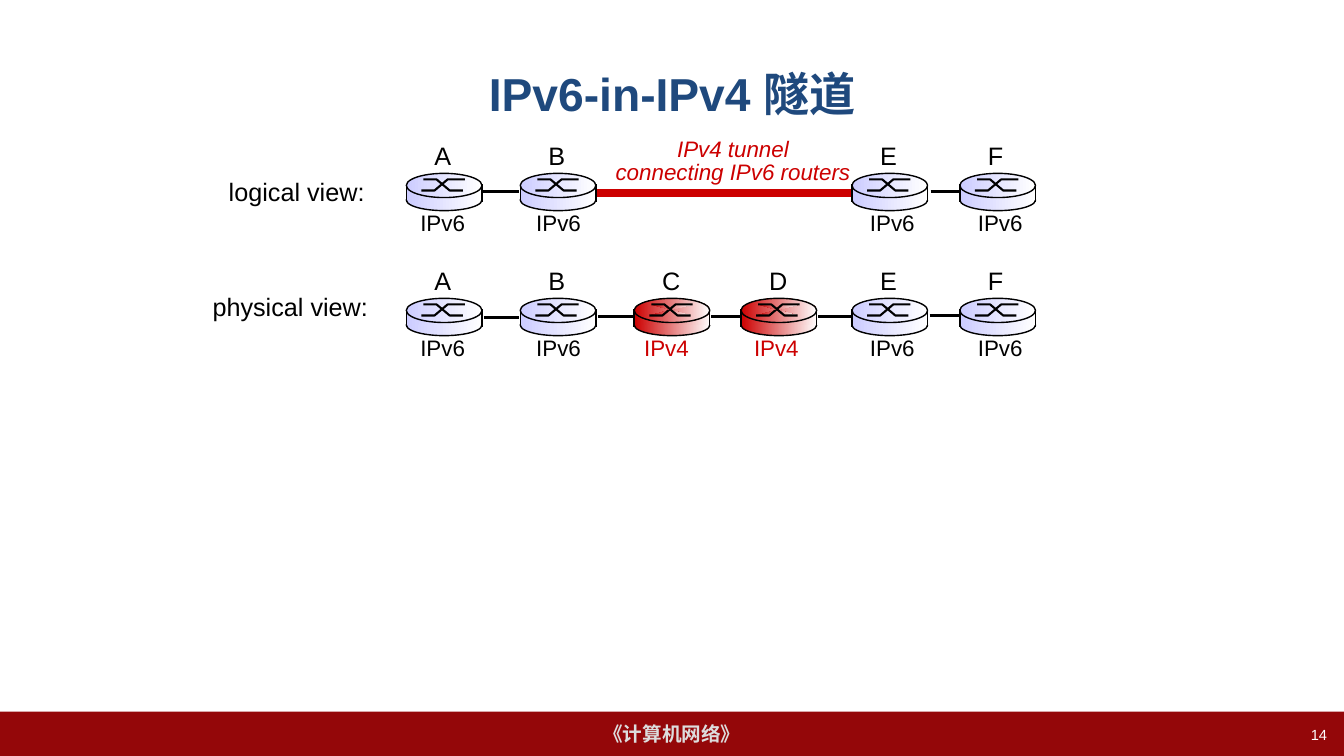
from lxml.etree import SubElement
from pptx import Presentation
from pptx.dml.color import RGBColor
from pptx.enum.shapes import MSO_CONNECTOR, MSO_SHAPE as Shape
from pptx.enum.text import MSO_ANCHOR as Anchor, PP_ALIGN as Align
from pptx.oxml.ns import qn
from pptx.util import Inches, Pt

BLACK, RED, LILAC, WHITE = "000000", "CC0000", "CCCCFF", "FFFFFF"


def color(hex_code):
    return RGBColor.from_string(hex_code)


def write(shape, text, size, hex_code, align=Align.LEFT, bold=False, italic=False):
    frame = shape.text_frame
    frame.text = text
    for para in frame.paragraphs:
        para.alignment = align
        for span in para.runs:
            span.font.name = "Arial"
            span.font.size = Pt(size)
            span.font.bold = bold
            span.font.italic = italic
            span.font.color.rgb = color(hex_code)
    return frame


deck = Presentation()
deck.slide_width, deck.slide_height = Inches(13.33), Inches(7.5)
page = deck.slides.add_slide(deck.slide_layouts[5])
shapes = page.shapes

# Footer bar and title
bar = shapes.add_shape(Shape.RECTANGLE, 0, Inches(7.06), Inches(13.33), Inches(0.44))
bar.shadow.inherit = False
bar.fill.solid()
bar.fill.fore_color.rgb = color("940709")
bar.line.fill.background()
write(bar, "《计算机网络》", 14, "DDDDDD", Align.CENTER, bold=True).vertical_anchor = Anchor.MIDDLE

title = shapes.title
title.left, title.top = Inches(0.67), Inches(0.3)
title.width, title.height = Inches(12), Inches(1.25)
write(title, "IPv6-in-IPv4 隧道", 33, "1F497D", Align.CENTER, bold=True).vertical_anchor = Anchor.MIDDLE

number = shapes.add_textbox(Inches(10.15), Inches(7.15), Inches(3.11), Inches(0.35))
write(number, "14", 10.5, WHITE, Align.RIGHT).word_wrap = True

# Tunnel and links, behind the routers
tunnel = shapes.add_shape(Shape.RECTANGLE, Inches(5.88), Inches(1.88), Inches(2.63), Inches(0.07))
tunnel.shadow.inherit = False
tunnel.fill.solid()
tunnel.fill.fore_color.rgb = color(RED)
tunnel.line.color.rgb = color(RED)
tunnel.line.width = Pt(0.75)

connectors = []
links = [(4.79, 5.15, 1.9), (9.23, 9.58, 1.9),
         (4.8, 5.15, 3.15), (5.93, 8.47, 3.14), (9.22, 9.58, 3.13)]
for start, end, height in links:
    link = shapes.add_connector(MSO_CONNECTOR.STRAIGHT, Inches(start), Inches(height),
                                Inches(end), Inches(height))
    link.line.width = Pt(1.5)
    connectors.append(link)

# Routers: letter -> (left edge, left edge of the protocol label)
routers = {"A": (4.03, 4.07), "B": (5.16, 5.22), "C": (6.29, 6.29),
           "D": (7.35, 7.38), "E": (8.45, 8.53), "F": (9.52, 9.6)}
rows = [(1.72, "ABEF"), (2.96, "ABCDEF")]
# Outline, top offset, width, height, outlined
drum_parts = [(Shape.OVAL, 0.16, 0.75, 0.21, True),
              (Shape.RECTANGLE, 0.14, 0.76, 0.13, False),
              (Shape.OVAL, 0, 0.75, 0.24, True)]
crossed_arms = [[(0.15, 0.17), (0.28, 0.17), (0.41, 0.06), (0.58, 0.06)],
                [(0.17, 0.06), (0.3, 0.06), (0.43, 0.17), (0.56, 0.17)]]

for top, letters in rows:
    for letter in letters:
        left, label_left = routers[letter]
        is_ipv4 = letter in "CD"
        router = shapes.add_group_shape().shapes
        filled = []

        for outline, offset, width, height, outlined in drum_parts:
            part = router.add_shape(outline, Inches(left), Inches(top + offset),
                                    Inches(width), Inches(height))
            part.shadow.inherit = False
            filled.append(part)
            if outlined:
                part.line.color.rgb = color(BLACK)
                part.line.width = Pt(1)
            else:
                part.line.fill.background()

        for points in crossed_arms:
            corners = [(Inches(left + x), Inches(top + y)) for x, y in points]
            builder = router.build_freeform(*corners[0])
            builder.add_line_segments(corners[1:], close=False)
            arm = builder.convert_to_shape()
            arm.shadow.inherit = False
            arm.line.color.rgb = color(BLACK)
            arm.line.width = Pt(1.5)
            if is_ipv4:
                filled.append(arm)
            else:
                arm.fill.background()

        for part in filled:
            part.fill.gradient()
            part.fill.gradient_angle = 0
            for stop, shade in zip(part.fill.gradient_stops, (RED if is_ipv4 else LILAC, WHITE)):
                stop.color.rgb = color(shade)

        for x in (left, left + 0.75):
            side = router.add_connector(MSO_CONNECTOR.STRAIGHT, Inches(x), Inches(top + 0.11),
                                        Inches(x), Inches(top + 0.28))
            side.line.width = Pt(1)
            connectors.append(side)

        name = shapes.add_textbox(Inches(left + 0.18), Inches(top - 0.38), Inches(0.37), Inches(0.4))
        write(name, letter, 18, BLACK).word_wrap = False
        label = shapes.add_textbox(Inches(label_left), Inches(top + 0.31), Inches(0.65), Inches(0.37))
        write(label, "IPv4" if is_ipv4 else "IPv6", 16, RED if is_ipv4 else BLACK).word_wrap = False

for connector in connectors:
    connector.line.color.rgb = color(BLACK)
    SubElement(connector._element.spPr, qn("a:effectLst"))

# Row headings and tunnel caption
for heading, left, top, width in [("logical view:", 2.17, 1.7, 1.55),
                                  ("physical view:", 2.01, 2.84, 1.74)]:
    box = shapes.add_textbox(Inches(left), Inches(top), Inches(width), Inches(0.4))
    write(box, heading, 18, BLACK).word_wrap = False

caption = shapes.add_textbox(Inches(6), Inches(1.33), Inches(2.54), Inches(0.56))
frame = write(caption, "IPv4 tunnel\nconnecting IPv6 routers", 16, RED, Align.CENTER, italic=True)
frame.word_wrap = False
for para in frame.paragraphs:
    para.line_spacing = 0.85

deck.save("out.pptx")
